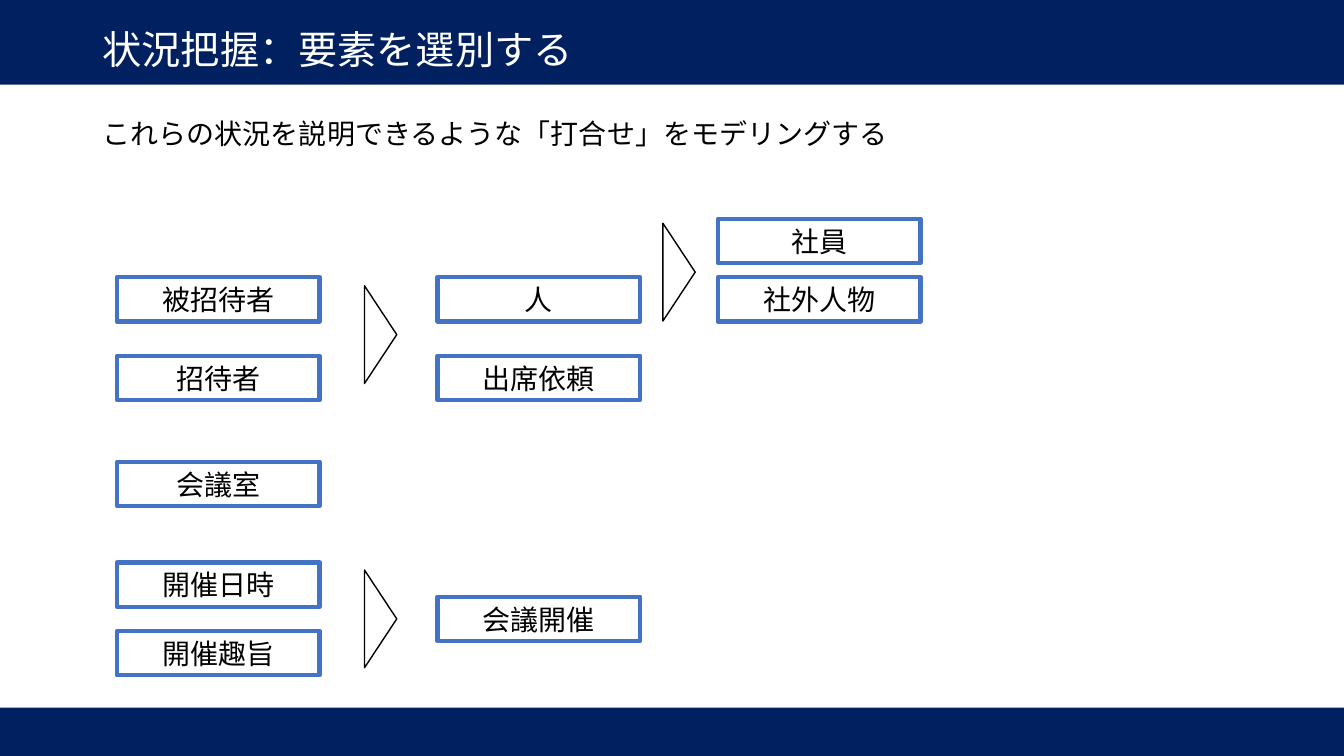
from lxml import etree
from pptx import Presentation
from pptx.dml.color import RGBColor
from pptx.enum.shapes import MSO_SHAPE
from pptx.enum.text import MSO_ANCHOR, PP_ALIGN
from pptx.oxml.ns import qn
from pptx.util import Inches, Pt

RECTANGLE, TRIANGLE = MSO_SHAPE.RECTANGLE, MSO_SHAPE.ISOSCELES_TRIANGLE
TOP, MIDDLE = MSO_ANCHOR.TOP, MSO_ANCHOR.MIDDLE
LEFT, CENTER = PP_ALIGN.LEFT, PP_ALIGN.CENTER

FONT = "Noto Sans CJK JP"
NAVY = RGBColor(0x00, 0x20, 0x60)
BLUE = RGBColor(0x44, 0x72, 0xC4)
BLACK = RGBColor(0x00, 0x00, 0x00)
WHITE = RGBColor(0xFF, 0xFF, 0xFF)

TITLE = "状況把握：要素を選別する"
LEAD = "これらの状況を説明できるような「打合せ」をモデリングする"

# Each column: left edge, then (top, label) of its elements
COLUMNS = [
    (1.16, [(2.75, "被招待者"), (3.53, "招待者"), (4.58, "会議室"),
            (5.58, "開催日時"), (6.26, "開催趣旨")]),
    (4.34, [(2.75, "人"), (3.53, "出席依頼"), (5.92, "会議開催")]),
    (7.12, [(2.17, "社員"), (2.75, "社外人物")]),
]
ELEMENT_SIZE = (2.01, 0.44)

# Centres of the right-pointing triangles between the columns
POINTER_CENTERS = [(3.775, 3.32), (3.775, 6.14), (6.735, 2.7)]
POINTER_BASE, POINTER_DEPTH = 0.97, 0.32

BANDS = [(7.02, 0.48), (-0.01, 0.85)]  # top, height
SLIDE_WIDTH, SLIDE_HEIGHT = 13.33, 7.5


def write(shape, text, size, color, align, anchor):
    """Put one formatted paragraph into a shape and return it."""
    frame = shape.text_frame
    frame.word_wrap = True
    frame.vertical_anchor = anchor
    frame.text = text
    paragraph = frame.paragraphs[0]
    paragraph.alignment = align
    run = paragraph.runs[0]
    run.font.size = Pt(size)
    run.font.color.rgb = color
    run.font.name = FONT
    east_asian = etree.SubElement(run._r.get_or_add_rPr(), qn("a:ea"))
    east_asian.set("typeface", FONT)
    return paragraph


def add_shape(kind, left, top, width, height, fill=None, line=None, weight=1):
    """Add a flat preset shape; no fill or line unless a colour is given."""
    shape = slide.shapes.add_shape(
        kind, Inches(left), Inches(top), Inches(width), Inches(height))
    shape.shadow.inherit = False
    if fill is None:
        shape.fill.background()
    else:
        shape.fill.solid()
        shape.fill.fore_color.rgb = fill
    if line is None:
        shape.line.fill.background()
    else:
        shape.line.color.rgb = line
        shape.line.width = Pt(weight)
    return shape


def add_text(text, left, top, width, height, size, color, anchor):
    """Add a left-aligned text box and return its paragraph."""
    box = slide.shapes.add_textbox(
        Inches(left), Inches(top), Inches(width), Inches(height))
    return write(box, text, size, color, LEFT, anchor)


prs = Presentation()
prs.slide_width, prs.slide_height = Inches(SLIDE_WIDTH), Inches(SLIDE_HEIGHT)
slide = prs.slides.add_slide(prs.slide_layouts[6])

for top, height in BANDS:
    add_shape(RECTANGLE, 0, top, SLIDE_WIDTH, height, fill=NAVY)

title = add_text(TITLE, 0.92, 0.21, 11.5, 0.61, 28, WHITE, MIDDLE)
title.line_spacing = 0.9

for left, elements in COLUMNS:
    for top, label in elements:
        element = add_shape(RECTANGLE, left, top, *ELEMENT_SIZE, line=BLUE, weight=3)
        write(element, label, 20, BLACK, CENTER, MIDDLE)

for center_x, center_y in POINTER_CENTERS:
    pointer = add_shape(
        TRIANGLE, center_x - POINTER_BASE / 2, center_y - POINTER_DEPTH / 2,
        POINTER_BASE, POINTER_DEPTH, fill=WHITE, line=BLACK)
    pointer.rotation = 90

add_text(LEAD, 0.92, 1.11, 11.53, 0.44, 20, BLACK, TOP)

prs.save("out.pptx")
